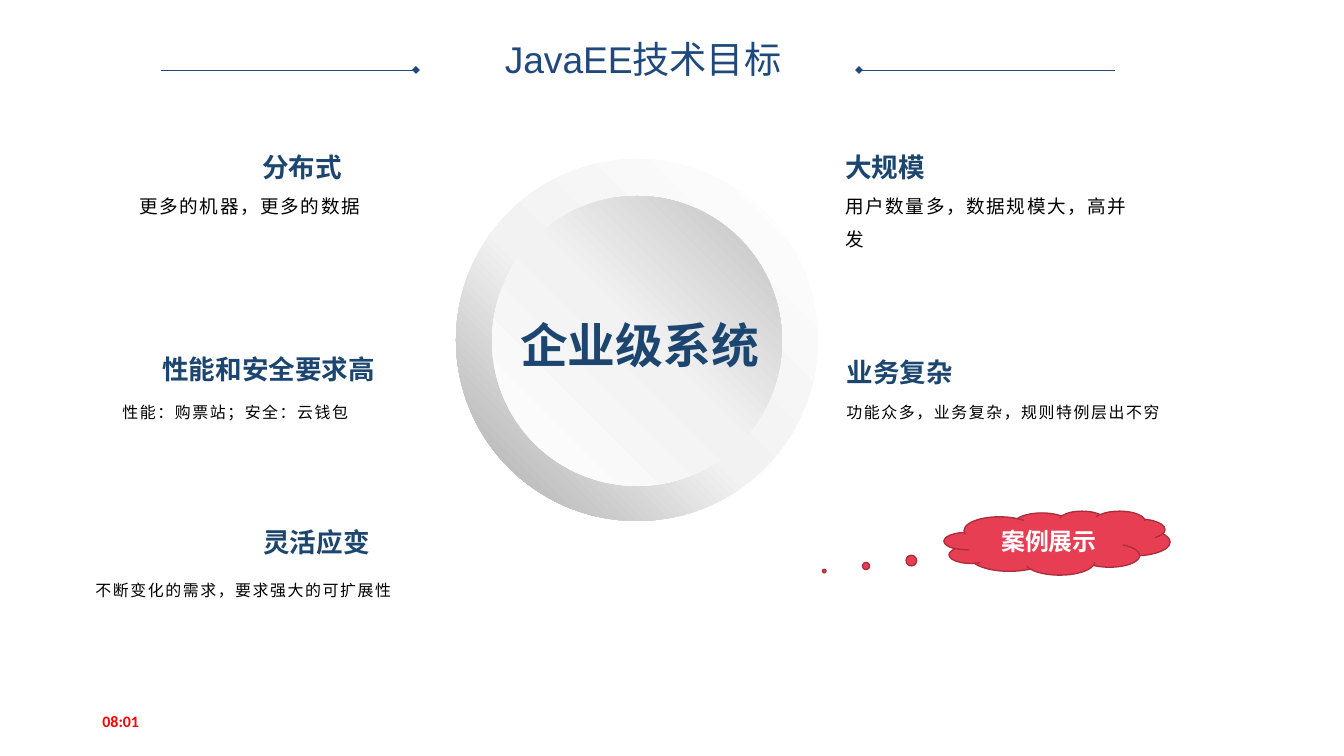
from copy import deepcopy
from dataclasses import dataclass

from lxml import etree
from pptx import Presentation
from pptx import util as u
from pptx.dml.color import RGBColor
from pptx.enum import shapes, text
from pptx.oxml.ns import qn

PX = 9565


@dataclass(frozen=True)
class Theme:
    """Colours, fonts and type sizes of the slide."""
    cjk: str = "Noto Sans CJK SC"
    latin: str = "Arial"
    label: str = "Calibri"
    navy: str = "1C4670"
    blue: str = "1F497D"
    black: str = "000000"
    white: str = "FFFFFF"
    red: str = "FF0000"
    cloud: str = "E73E53"
    cloud_edge: str = "AB2E3D"
    hub_size: int = 36
    title_size: int = 28
    heading_size: int = 20
    callout_size: int = 18
    note_size: int = 14
    small_size: int = 12


THEME = Theme()
LEFT, CENTER = text.PP_ALIGN.LEFT, text.PP_ALIGN.CENTER
TOP, MIDDLE = text.MSO_ANCHOR.TOP, text.MSO_ANCHOR.MIDDLE
GROW, FIXED = text.MSO_AUTO_SIZE.SHAPE_TO_FIT_TEXT, text.MSO_AUTO_SIZE.NONE

OUTER_STOPS = [(0, "FFFFFF"), (0.55, "F2F2F2"), (1, "A6A6A6")]
INNER_STOPS = [(0, "FFFFFF"), (0.51, "F2F2F2"), (1, "BFBFBF")]

GOALS = [
    ("性能和安全要求高", (153, 348, 301, 42),
     "性能：购票站；安全：云钱包", (113, 388, 349, 38), THEME.small_size),
    ("业务复杂", (837, 351, 241, 42),
     "功能众多，业务复杂，规则特例层出不穷", (837, 388, 405, 38), THEME.small_size),
    ("分布式", (253, 146, 183, 42),
     "更多的机器，更多的数据", (130, 179, 305, 43), THEME.note_size),
    ("大规模", (836, 146, 226, 42),
     "用户数量多，数据规模大，高并发", (836, 179, 305, 77), THEME.note_size),
    ("灵活应变", (254, 521, 241, 42),
     "不断变化的需求，要求强大的可扩展性", (86, 566, 405, 38), THEME.small_size),
]


def emu(*lengths):
    return [length * PX for length in lengths]


def assign(target, values):
    for name, value in values.items():
        setattr(target, name, value)


def write(shape, words, size, color, font=THEME.cjk, bold=False, align=LEFT,
          anchor=TOP, leading=None, spacing=None, wrap=True, fit=FIXED):
    frame = shape.text_frame
    assign(frame, {"auto_size": fit, "word_wrap": wrap, "vertical_anchor": anchor})
    para = frame.paragraphs[0]
    assign(para, {"alignment": align, "line_spacing": leading})
    span = para.add_run()
    span.text = words
    assign(span.font, {"name": font, "size": u.Pt(size), "bold": bold})
    span.font.color.rgb = RGBColor.from_string(color)
    properties = span.font._element
    etree.SubElement(properties, qn("a:ea")).set("typeface", THEME.cjk)
    if spacing:
        properties.set("spc", str(spacing))


def add_text(page, words, area, size, color, **style):
    box = page.shapes.add_textbox(*emu(*area))
    write(box, words, size, color, **style)


def add_disc(page, left, top, diameter, stops, angle):
    disc = page.shapes.add_shape(
        shapes.MSO_SHAPE.OVAL, *emu(left, top, diameter, diameter))
    disc.shadow.inherit = False
    disc.line.fill.background()
    disc.fill.gradient()
    disc.fill.gradient_angle = angle
    stop_list = next(disc.element.iter(qn("a:gsLst")))
    stop_list.append(deepcopy(stop_list[-1]))
    for stop, (position, color) in zip(disc.fill.gradient_stops, stops):
        stop.position = position
        stop.color.rgb = RGBColor.from_string(color)


def add_rule(page, start, end, y):
    rule = page.shapes.add_connector(
        shapes.MSO_CONNECTOR.STRAIGHT, *emu(start, y, end, y))
    rule.line.color.rgb = RGBColor.from_string(THEME.blue)
    rule.line.width = u.Pt(0.25)
    outline = rule.line._get_or_add_ln()
    etree.SubElement(outline, qn("a:headEnd")).set("type", "diamond")
    etree.SubElement(rule.element.spPr, qn("a:effectLst"))


def add_callout(page, words, area):
    cloud = page.shapes.add_shape(shapes.MSO_SHAPE.CLOUD_CALLOUT, *emu(*area))
    cloud.shadow.inherit = False
    cloud.adjustments[0], cloud.adjustments[1] = -1.03, 0.44
    cloud.fill.solid()
    cloud.fill.fore_color.rgb = RGBColor.from_string(THEME.cloud)
    cloud.line.color.rgb = RGBColor.from_string(THEME.cloud_edge)
    cloud.line.width = u.Pt(1)
    write(cloud, words, THEME.callout_size, THEME.white, font=THEME.label,
          bold=True, align=CENTER, anchor=MIDDLE)


def add_goal(page, heading, heading_area, note, note_area, note_size):
    add_text(page, heading, heading_area, THEME.heading_size, THEME.navy,
             bold=True, fit=GROW)
    add_text(page, note, note_area, note_size, THEME.black,
             leading=1.5, spacing=120, fit=GROW)


def main():
    """Build the slide of JavaEE goals around the enterprise system hub."""
    deck = Presentation()
    deck.slide_width, deck.slide_height = emu(1344, 756)
    page = deck.slides.add_slide(deck.slide_layouts[6])
    add_disc(page, 456, 159, 362, OUTER_STOPS, 225)
    add_disc(page, 492, 196, 290, INNER_STOPS, 45)
    for goal in GOALS:
        add_goal(page, *goal)
    add_text(page, "企业级系统", (509, 311, 261, 68), THEME.hub_size, THEME.navy,
             bold=True, align=CENTER, wrap=False, fit=GROW)
    for start, end in [(416, 161), (859, 1115)]:
        add_rule(page, start, end, 70)
    add_text(page, "JavaEE技术目标", (350, 39, 586, 45), THEME.title_size, THEME.blue,
             font=THEME.latin, align=CENTER, anchor=MIDDLE, leading=0.9)
    add_callout(page, "案例展示", (944, 511, 226, 64))
    add_text(page, "08:01", (93, 701, 302, 40), THEME.small_size, THEME.red,
             font=THEME.label, bold=True, anchor=MIDDLE)
    deck.save("out.pptx")


if __name__ == "__main__":
    main()
